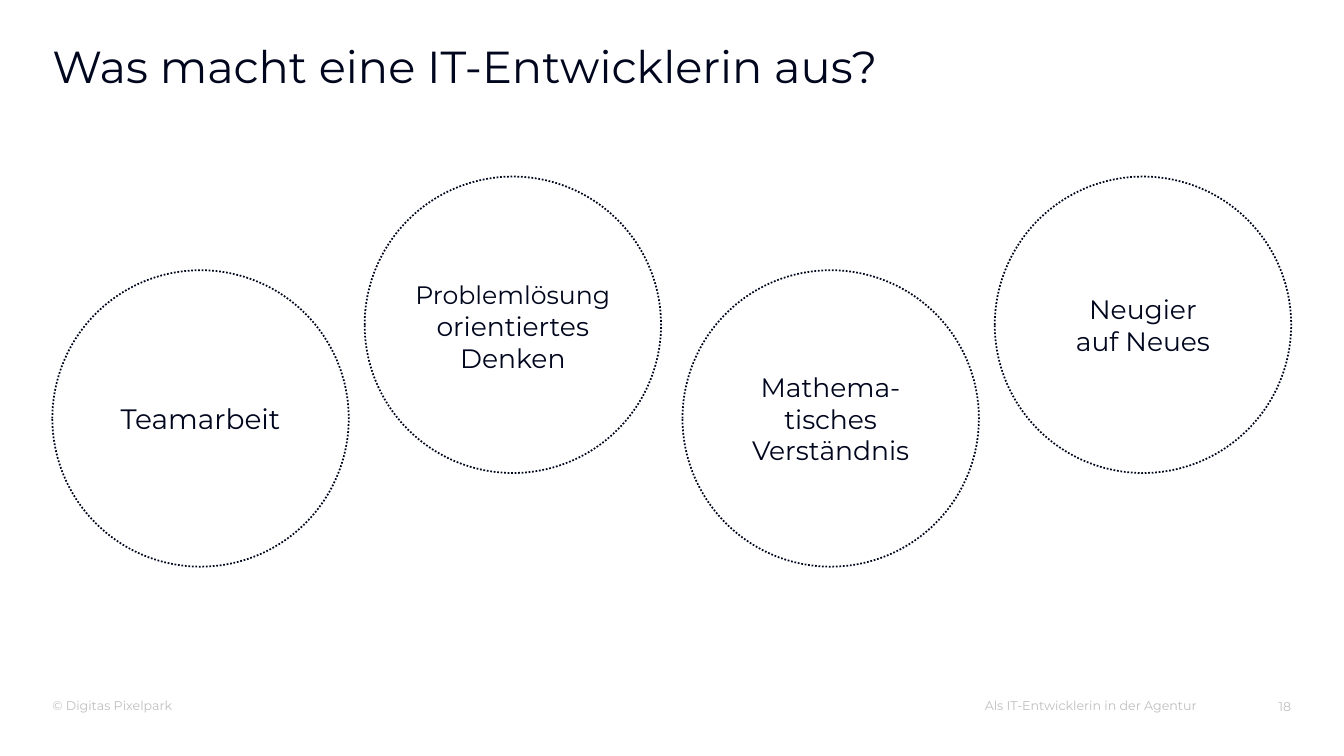
from pptx import Presentation
from pptx.dml.color import RGBColor
from pptx.enum.dml import MSO_LINE
from pptx.enum.shapes import MSO_SHAPE
from pptx.enum.text import MSO_ANCHOR, PP_ALIGN
from pptx.util import Cm, Pt

NAVY = RGBColor(0x00, 0x06, 0x1D)
GREY = RGBColor(0xBF, 0xBF, 0xBF)
ELLIPSE = MSO_SHAPE.OVAL
DOTTED = MSO_LINE.ROUND_DOT
TOP, MIDDLE = MSO_ANCHOR.TOP, MSO_ANCHOR.MIDDLE
LEFT, CENTER, RIGHT = PP_ALIGN.LEFT, PP_ALIGN.CENTER, PP_ALIGN.RIGHT

MARGIN = 1.32
DIAMETER = 7.47
PAIR_PITCH = 15.88
CIRCLE_STEP = 7.87
LOW_TOP, HIGH_TOP = 6.81, 4.45

QUALITIES = [
    [[("Teamarbeit", 20)]],
    [[("Problemlösung", 18), (" ", 20), ("orientiertes Denken", 19)]],
    [[("Mathema-tisches Verständnis", 19)]],
    [[("Neugier", 19)], [("auf Neues", 19)]],
]


def write_text(shape, paragraphs, color=NAVY, align=LEFT, anchor=TOP,
               inset=0, spacing=1.0, wrap=True, font="Montserrat"):
    frame = shape.text_frame
    frame.word_wrap = wrap
    frame.vertical_anchor = anchor
    frame.margin_left = frame.margin_right = Cm(inset)
    frame.margin_top = frame.margin_bottom = Cm(inset)
    for index, runs in enumerate(paragraphs):
        paragraph = frame.add_paragraph() if index else frame.paragraphs[0]
        paragraph.alignment = align
        paragraph.line_spacing = spacing
        for text, size in runs:
            run = paragraph.add_run()
            run.text = text
            run.font.name = font
            run.font.size = Pt(size)
            run.font.color.rgb = color


class SlideBuilder:
    def __init__(self, presentation):
        self.slide = presentation.slides.add_slide(presentation.slide_layouts[6])
        self.line_width = Pt(1.25)

    def label(self, text, left, top, width, height, size=9, **style):
        box = self.slide.shapes.add_textbox(Cm(left), Cm(top), Cm(width), Cm(height))
        write_text(box, [[(text, size)]], **style)

    def circle(self, paragraphs, left, top):
        shape = self.slide.shapes.add_shape(
            ELLIPSE, Cm(left), Cm(top), Cm(DIAMETER), Cm(DIAMETER))
        shape.shadow.inherit = False
        shape.fill.background()
        shape.line.color.rgb = NAVY
        shape.line.width = self.line_width
        shape.line.dash_style = DOTTED
        write_text(shape, paragraphs, align=CENTER, anchor=MIDDLE, inset=0.15)


def main():
    presentation = Presentation()
    presentation.slide_width = Cm(33.87)
    presentation.slide_height = Cm(19.05)
    builder = SlideBuilder(presentation)

    builder.label("© Digitas Pixelpark", MARGIN, 17.58, 3.05, 0.38,
                  color=GREY, anchor=MIDDLE, wrap=False)
    builder.label("Als IT-Entwicklerin in der Agentur", 18.75, 17.6, 11.4, 0.36,
                  color=GREY, align=RIGHT, anchor=MIDDLE)
    builder.label("18", 31.55, 17.65, 0.99, 0.36,
                  color=GREY, align=RIGHT, spacing=0.9)
    builder.label("Was macht eine IT-Entwicklerin aus?", MARGIN, 1.12, 28.8, 0.99,
                  size=32, spacing=0.9)

    for index, paragraphs in enumerate(QUALITIES):
        pair, raised = divmod(index, 2)
        left = MARGIN + pair * PAIR_PITCH + raised * CIRCLE_STEP
        builder.circle(paragraphs, left, HIGH_TOP if raised else LOW_TOP)

    presentation.save("out.pptx")


if __name__ == "__main__":
    main()
